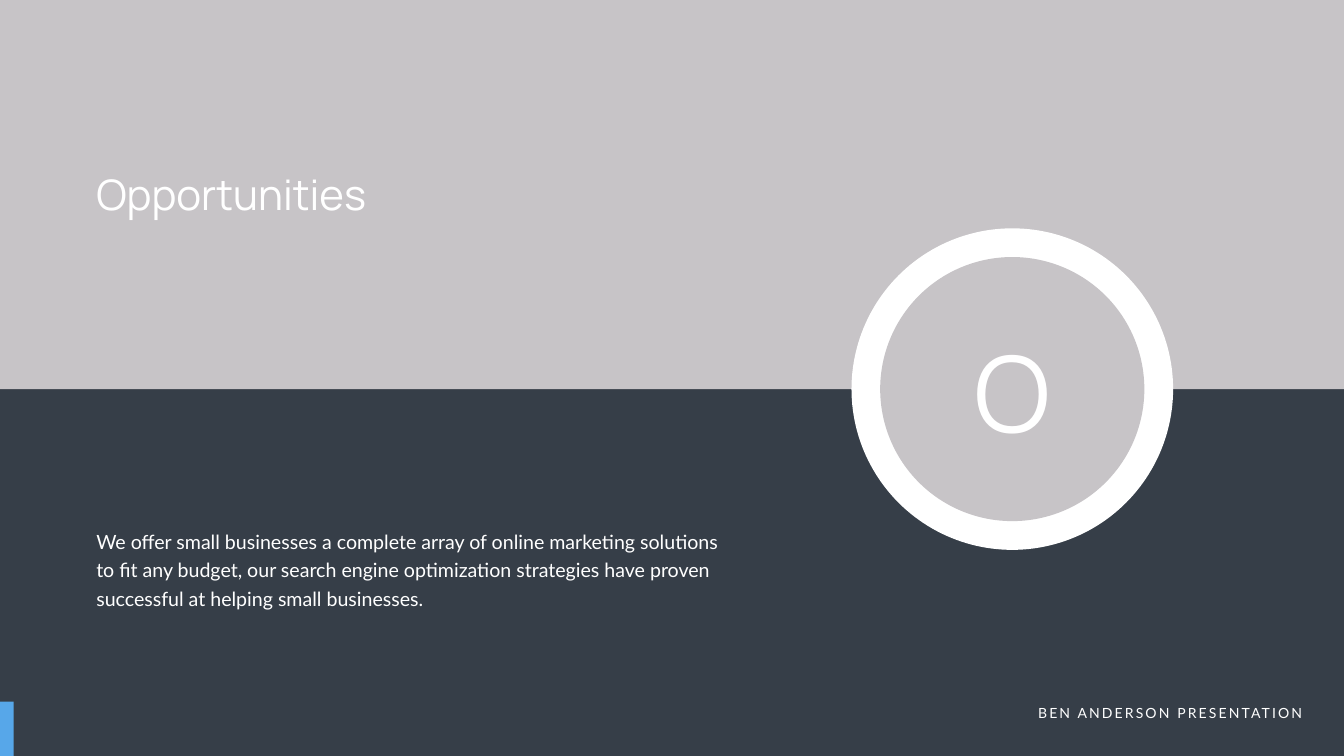
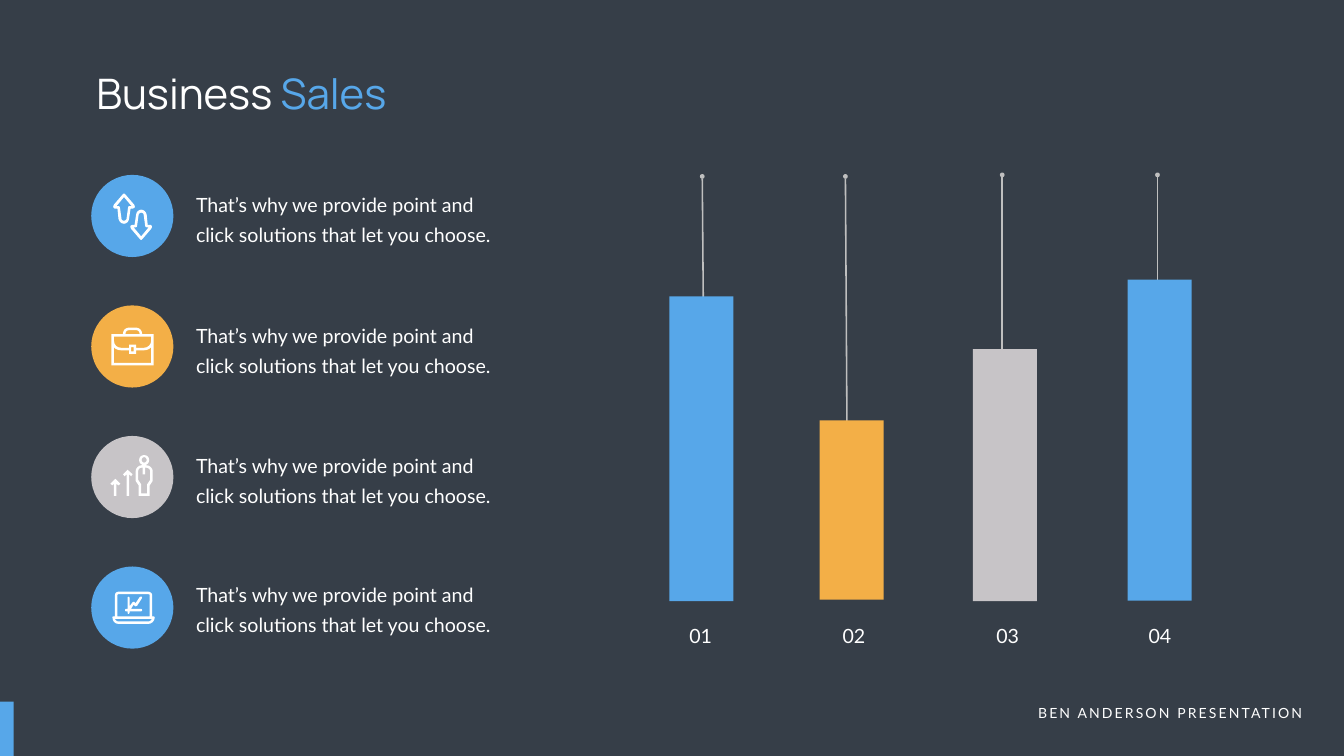
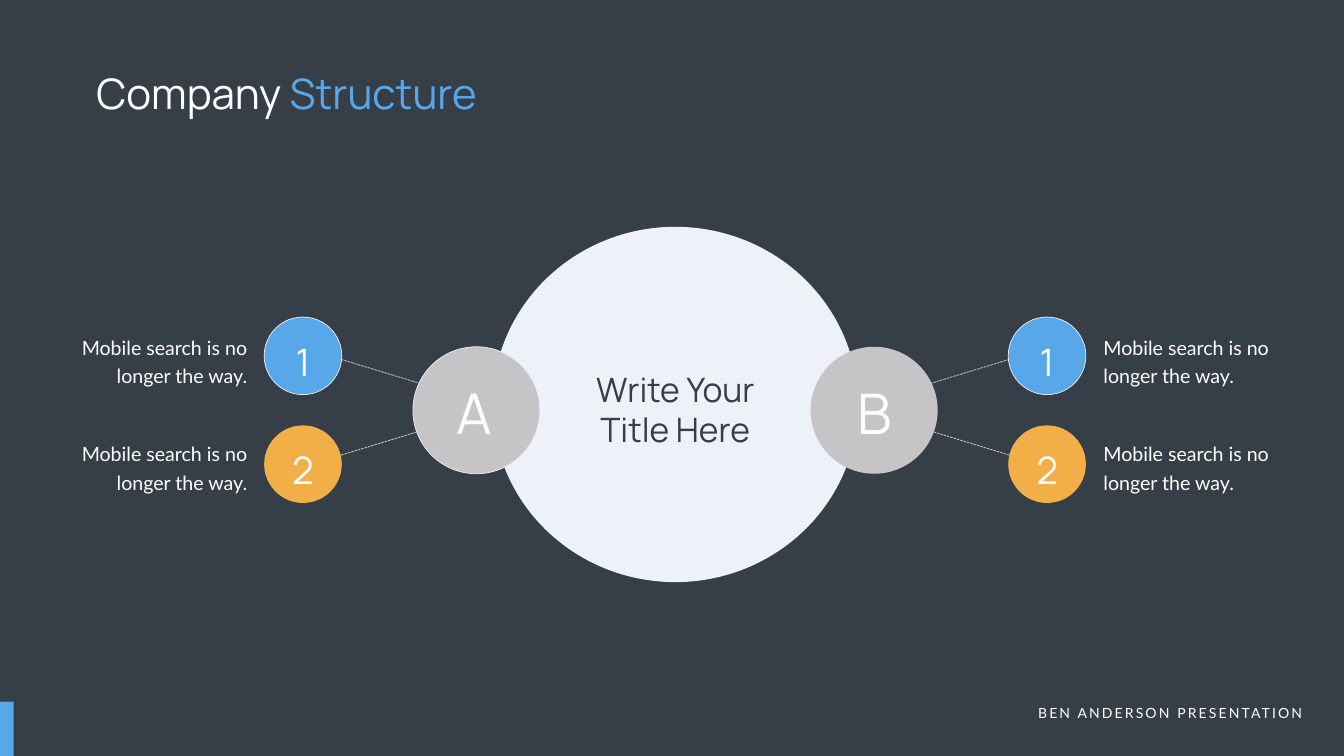
from lxml import etree
from pptx import Presentation
from pptx import util as u
from pptx.dml.color import RGBColor
from pptx.enum import dml, shapes, text
from pptx.oxml.ns import qn

Inches, Pt = u.Inches, u.Pt
LEFT, CENTER, RIGHT = text.PP_ALIGN.LEFT, text.PP_ALIGN.CENTER, text.PP_ALIGN.RIGHT
RECT, OVAL = shapes.MSO_SHAPE.RECTANGLE, shapes.MSO_SHAPE.OVAL

# Theme
SLATE = RGBColor(0x36, 0x3E, 0x48)
SILVER = RGBColor(0xC7, 0xC4, 0xC7)
BLUE = RGBColor(0x57, 0xA7, 0xE9)
AMBER = RGBColor(0xF3, 0xAF, 0x47)
MIST = RGBColor(0xEF, 0xF1, 0xF8)
RULE = RGBColor(0xBF, 0xBF, 0xBF)
WHITE = RGBColor(0xFF, 0xFF, 0xFF)
HEAD_FONT, BODY_FONT = "Manrope", "Lato"
WIDTH, HEIGHT, MARGIN = 26.66, 15, 1.81

# Content
FOOTER = "BEN ANDERSON PRESENTATION"
OFFER = ("We offer small businesses a complete array of online marketing solutions "
         "to fit any budget, our search engine optimization strategies have proven "
         "successful at helping small businesses.")
SOLUTION = "That’s why we provide point and click solutions that let you choose."
MOBILE = "Mobile search is no longer the way."

# Icon outlines in hundredths of an inch from the corner of their badge
ARROW = ("M 76 62 C 74 62 73 63 73 65 L 70 87 C 70 89 67 91 65 91 C 62 91 60 89 60 87 "
         "L 57 65 C 57 63 55 62 54 62 L 50 62 L 65 44 L 80 62 Z "
         "M 86 65 C 87 63 86 61 85 59 L 67 38 C 67 38 66 37 65 37 C 64 37 63 38 63 38 "
         "L 45 59 C 44 61 43 63 44 65 C 45 66 46 67 48 67 L 52 67 L 54 87 "
         "C 55 92 59 97 65 97 C 70 97 75 92 75 87 L 78 67 L 81 67 C 83 67 85 66 86 65 Z")
BRIEFCASE = ("M 105 84 L 89 84 L 89 78 L 75 78 L 75 84 L 59 84 C 51 84 45 78 45 70 "
             "L 45 62 L 119 62 L 119 70 C 119 78 112 84 105 84 Z "
             "M 79 83 L 84 83 L 84 91 L 79 91 Z "
             "M 119 114 L 45 114 L 45 83 C 48 87 54 89 59 89 L 75 89 L 75 96 L 89 96 "
             "L 89 89 L 105 89 C 110 89 115 87 119 83 Z "
             "M 68 56 C 68 52 71 49 75 49 L 89 49 C 93 49 96 52 96 56 L 96 57 L 68 57 Z "
             "M 101 57 L 101 56 C 101 49 95 44 89 44 L 75 44 C 68 44 63 49 63 56 "
             "L 63 57 L 40 57 L 40 119 L 124 119 L 124 57 Z")
PERSON_BODY = ("M 117 87 L 111 96 L 111 114 L 99 114 L 99 96 L 93 87 L 93 70 "
               "C 93 66 96 63 100 63 L 102 63 L 102 76 L 107 76 L 107 63 L 109 63 "
               "C 113 63 117 66 117 70 Z "
               "M 109 58 L 100 58 C 94 58 88 64 88 70 L 88 89 L 94 98 L 94 119 L 116 119 "
               "L 116 98 L 122 89 L 122 70 C 122 64 116 58 109 58 Z")
PERSON_HEAD = ("M 105 42 C 108 42 110 45 110 48 C 110 50 108 53 105 53 "
               "C 102 53 100 50 100 48 C 100 45 102 42 105 42 Z "
               "M 105 58 C 111 58 115 53 115 48 C 115 42 111 38 105 38 "
               "C 99 38 95 42 95 48 C 95 53 99 58 105 58 Z")
TALL_ARROW = "M 63 76 L 66 80 L 70 76 L 70 119 L 75 119 L 75 76 L 79 80 L 82 76 L 72 67 Z"
SHORT_ARROW = "M 38 95 L 42 98 L 45 95 L 45 119 L 50 119 L 50 95 L 54 98 L 58 95 L 48 85 Z"
LAPTOP = ("M 113 109 L 54 109 C 51 109 48 107 47 104 L 120 104 C 119 107 117 109 113 109 Z "
          "M 52 57 C 52 56 53 55 54 55 L 113 55 C 115 55 116 56 116 57 L 116 99 L 52 99 Z "
          "M 123 99 L 121 99 L 121 57 C 121 53 117 50 113 50 L 54 50 C 50 50 47 53 47 57 "
          "L 47 99 L 44 99 C 43 99 42 100 42 101 C 42 108 47 114 54 114 L 113 114 "
          "C 120 114 126 108 126 101 C 126 100 124 99 123 99 Z")
SCREEN_CHART = ("M 87 79 C 88 79 90 79 91 78 L 100 64 C 101 62 101 61 100 60 "
                "C 99 59 97 60 96 61 L 88 73 L 85 70 C 85 70 82 70 82 71 L 76 79 L 76 62 "
                "C 76 61 75 60 74 60 C 73 60 72 61 72 62 L 72 84 L 69 84 "
                "C 68 84 67 85 67 87 C 67 88 68 89 69 89 L 72 89 L 72 92 "
                "C 72 93 73 94 74 94 C 75 94 76 93 76 92 L 76 89 L 98 89 "
                "C 100 89 101 88 101 87 C 101 85 100 84 98 84 L 79 84 L 84 76 Z")
TURN = (164, 166)  # a half turn sends (x, y) to (164 - x, 166 - y)

# Badge colour, text top, icon parts as (outline, half turn)
SALES_POINTS = [
    (BLUE, 3.65, [(ARROW, None), (ARROW, TURN)]),
    (AMBER, 6.24, [(BRIEFCASE, None)]),
    (SILVER, 8.83, [(part, None) for part in (PERSON_BODY, PERSON_HEAD, TALL_ARROW, SHORT_ARROW)]),
    (BLUE, 11.39, [(LAPTOP, None), (SCREEN_CHART, None)]),
]
# Label, label left, colour, bar left, top, height, pin foot x, pin head x and y
SALES_BARS = [
    ("01", 12.88, BLUE, 13.28, 5.88, 6.05, 13.95, 13.93, 3.5),
    ("02", 15.92, AMBER, 16.26, 8.34, 3.56, 16.8, 16.77, 3.5),
    ("03", 18.97, SILVER, 19.3, 6.93, 5, 19.88, 19.88, 3.47),
    ("04", 21.99, BLUE, 22.37, 5.55, 6.37, 22.96, 22.96, 3.47),
]
# Division, hub left, hub outline, letter left and width, badge left, note left,
# note alignment, link ends
DIVISIONS = [
    ("A", 8.19, MIST, 9.03, 0.76, 5.24, 1.38, RIGHT, (6.7, 8.37)),
    ("B", 16.08, None, 17.01, 0.69, 20, 21.79, LEFT, (20.09, 18.42)),
]
# Number, number width, colour, outline, badge top, number top, note top, link ends
UNITS = [
    ("1", 0.84, BLUE, MIST, 6.29, 6.55, 6.51, (7.11, 7.62)),
    ("2", 0.93, AMBER, None, 8.44, 8.69, 8.62, (9.05, 8.54)),
]


def write(box, runs, size=28, font=BODY_FONT, color=WHITE, align=LEFT, line=None,
          anchor=text.MSO_ANCHOR.TOP, insets=(0.1, 0.05, 0.1, 0.05), wrap=True, tracking=None):
    """Fill a box with one paragraph; runs is a string or (string, colour) pairs."""
    frame = box.text_frame
    frame.word_wrap = wrap
    frame.auto_size = text.MSO_AUTO_SIZE.SHAPE_TO_FIT_TEXT
    frame.vertical_anchor = anchor
    frame.margin_left, frame.margin_top, frame.margin_right, frame.margin_bottom = map(Inches, insets)
    paragraph = frame.paragraphs[0]
    if box.is_placeholder:
        props = paragraph._p.get_or_add_pPr()
        props.set("marL", "0")
        props.set("indent", "0")
        etree.SubElement(props, qn("a:buNone"))
    paragraph.alignment = align
    paragraph.space_before = Pt(0)
    if line:
        paragraph.line_spacing = line
    for words, tint in [(runs, color)] if isinstance(runs, str) else runs:
        run = paragraph.add_run()
        run.text = words
        run.font.size, run.font.name, run.font.bold = Pt(size), font, False
        run.font.color.rgb = tint
        if tracking:
            run._r.get_or_add_rPr().set("spc", str(tracking * 100))


def write_at(slide, at, runs, **style):
    write(slide.shapes.add_textbox(*map(Inches, at)), runs, **style)


def fill_placeholder(holder, at, runs, **style):
    holder.left, holder.top, holder.width, holder.height = map(Inches, at)
    holder._element.getparent().append(holder._element)  # bring to front
    write(holder, runs, **style)


def paint(shape, fill, outline=None):
    shape.shadow.inherit = False
    shape.fill.solid()
    shape.fill.fore_color.rgb = fill
    if outline is None:
        shape.line.fill.background()
    else:
        shape.line.color.rgb = outline
        shape.line.width = Pt(1)


def draw(slide, kind, at, fill, outline=None):
    paint(slide.shapes.add_shape(kind, *map(Inches, at)), fill, outline)


def draw_line(slide, start, end, width, dash=None, tail=None):
    link = slide.shapes.add_connector(shapes.MSO_CONNECTOR.STRAIGHT, *map(Inches, start + end))
    link.line.color.rgb = RULE
    link.line.width = Pt(width)
    if dash:
        link.line.dash_style = dash
    if tail:
        etree.SubElement(link.line._get_or_add_ln(), qn("a:tailEnd"), type=tail)
    etree.SubElement(link._element.spPr, qn("a:effectLst"))


def contours(outline, turn):
    """Turn M/L/C/Z commands into point lists, with curves as short segments."""
    for contour in outline.split("Z"):
        points, tokens = [], contour.split()
        while tokens:
            count = 6 if tokens.pop(0) == "C" else 2
            values, tokens = [int(v) for v in tokens[:count]], tokens[count:]
            ends = list(zip(values[::2], values[1::2]))
            if count == 2:
                points += ends
                continue
            curve = [points[-1]] + ends
            for t in (0.25, 0.5, 0.75, 1):
                weights = ((1 - t) ** 3, 3 * t * (1 - t) ** 2, 3 * t * t * (1 - t), t ** 3)
                points.append(tuple(sum(w * p[axis] for w, p in zip(weights, curve))
                                    for axis in (0, 1)))
        if turn:
            points = [(turn[0] - x, turn[1] - y) for x, y in points]
        if points:
            yield [(Inches(x / 100), Inches(y / 100)) for x, y in points]


def draw_icon(slide, left, top, outline, turn):
    builder = None
    for start, *rest in contours(outline, turn):
        if builder is None:
            builder = slide.shapes.build_freeform(*start)
        else:
            builder.move_to(*start)
        builder.add_line_segments(rest, close=True)
    paint(builder.convert_to_shape(Inches(left), Inches(top)), WHITE)


def new_slide(prs, layout):
    """Add a slide with the shared footer and corner accent."""
    slide = prs.slides.add_slide(prs.slide_layouts[layout])
    write_at(slide, (20.08, 13.92, 5.85, 0.44), FOOTER, size=20, align=RIGHT, tracking=3)
    draw(slide, RECT, (0, 13.92, 0.27, 1.08), BLUE)
    return slide


def add_title(slide, top, width, runs):
    fill_placeholder(slide.shapes.title, (MARGIN, top, width, 1.11), runs, size=60, font=HEAD_FONT)


def opportunities(prs):
    slide = new_slide(prs, 1)
    draw(slide, RECT, (0, 0, WIDTH, 7.72), SILVER)
    draw(slide, OVAL, (16.89, 4.53, 6.38, 6.38), WHITE)
    draw(slide, OVAL, (17.46, 5.1, 5.24, 5.24), SILVER)
    write_at(slide, (18.26, 6.45, 3.64, 2.63), "O", size=150, font=HEAD_FONT, align=CENTER)
    fill_placeholder(slide.placeholders[1], (MARGIN, 10.36, 12.71, 1.77), OFFER, line=Pt(40.8))
    add_title(slide, 3.3, 7.05, "Opportunities")


def business_sales(prs):
    slide = new_slide(prs, 5)
    add_title(slide, 1.28, 7.66, [("Business ", WHITE), ("Sales", BLUE)])

    # Pins first, so that the bars cover their feet
    for _, _, _, _, top, _, foot_x, head_x, head_y in SALES_BARS:
        draw_line(slide, (foot_x, top + 0.02), (head_x, head_y), 2.25, tail="oval")
    for label, label_left, color, left, top, height, *_ in SALES_BARS:
        draw(slide, RECT, (left, top, 1.27, height), color)
        write_at(slide, (label_left, 12.19, 1.94, 0.69), label, align=CENTER, line=1.3,
                 anchor=text.MSO_ANCHOR.MIDDLE, insets=(0.1, 0, 0, 0))

    # Badges with their points
    for row, (color, text_top, icon) in enumerate(SALES_POINTS):
        top = 3.47 + 2.59 * row
        draw(slide, OVAL, (MARGIN, top, 1.63, 1.63), color)
        for outline, turn in icon:
            draw_icon(slide, MARGIN, top, outline, turn)
        write_at(slide, (3.79, text_top, 6.36, 1.25), SOLUTION, line=Pt(43))


def company_structure(prs):
    slide = new_slide(prs, 5)
    add_title(slide, 1.28, 9.76, [("Company ", WHITE), ("Structure", BLUE)])
    numeral = dict(font=HEAD_FONT, align=CENTER, line=1.2, insets=(0, 0, 0, 0))

    # Links lie behind the circles
    for *_, (unit_x, hub_x) in DIVISIONS:
        for *_, (unit_y, hub_y) in UNITS:
            draw_line(slide, (unit_x, unit_y), (hub_x, hub_y), 1.25, dash=dml.MSO_LINE.SQUARE_DOT)
    draw(slide, OVAL, (9.77, 4.5, 7.25, 7.05), MIST)
    write_at(slide, (11.29, 7.27, 4.21, 1.72), "Write Your Title Here", size=48,
             font=HEAD_FONT, color=SLATE, align=CENTER)

    for letter, hub, hub_edge, letter_left, letter_width, badge, note, align, _ in DIVISIONS:
        draw(slide, OVAL, (hub, 6.88, 2.52, 2.52), SILVER, hub_edge)
        write_at(slide, (letter_left, 7.25, letter_width, 1.55), letter, size=80, wrap=False, **numeral)
        for number, width, color, edge, top, number_top, note_top, _ in UNITS:
            draw(slide, OVAL, (badge, top, 1.54, 1.54), color, edge)
            write_at(slide, (badge + (1.54 - width) / 2, number_top, width, 1.05), number,
                     size=54, **numeral)
            write_at(slide, (note, note_top, 3.62, 1.19), MOBILE, align=align, line=Pt(40.8))


def main():
    prs = Presentation()
    prs.slide_width, prs.slide_height = Inches(WIDTH), Inches(HEIGHT)
    backdrop = prs.slide_master.background.fill
    backdrop.solid()
    backdrop.fore_color.rgb = SLATE
    for build in (opportunities, business_sales, company_structure):
        build(prs)
    prs.save("out.pptx")


if __name__ == "__main__":
    main()
